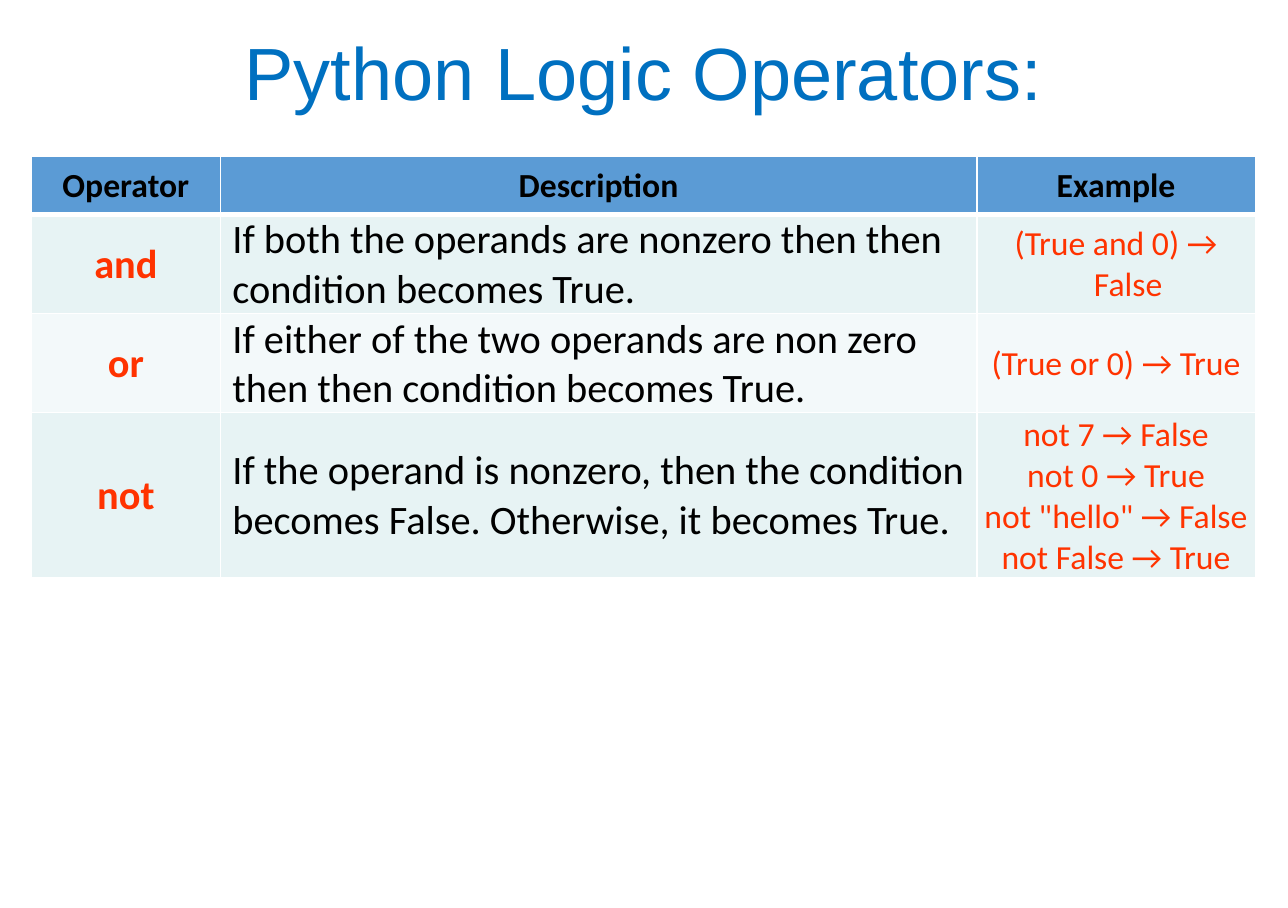
import pptx
import pptx.dml.color
import pptx.enum.text
import pptx.oxml
import pptx.oxml.ns
import pptx.util
from pptx.util import Inches

ALIGN = pptx.enum.text.PP_ALIGN
MIDDLE = pptx.enum.text.MSO_ANCHOR.MIDDLE


def style_paragraph(paragraph, font_name, size, color, bold, alignment):
    paragraph.alignment = alignment
    for run in paragraph.runs:
        run.font.name = font_name
        run.font.size = pptx.util.Pt(size)
        run.font.bold = bold
        run.font.color.rgb = pptx.dml.color.RGBColor.from_string(color)


def add_border(cell, side, width):
    """Draw a white line on one side (L, R, T or B); call before filling the cell."""
    cell._tc.get_or_add_tcPr().append(pptx.oxml.parse_xml(
        f'<a:ln{side} {pptx.oxml.ns.nsdecls("a")} w="{pptx.util.Pt(width)}">'
        f'<a:solidFill><a:srgbClr val="FFFFFF"/></a:solidFill></a:ln{side}>'))


presentation = pptx.Presentation()
presentation.slide_width = Inches(10.64)
presentation.slide_height = Inches(7.5)
slide = presentation.slides.add_slide(presentation.slide_layouts[6])

title = slide.shapes.add_textbox(0, 0, presentation.slide_width, Inches(1.27))
title.text_frame.word_wrap = True
title.text_frame.vertical_anchor = MIDDLE
title.text_frame.text = "Python Logic Operators:"
title.text_frame.paragraphs[0].line_spacing = 0.9
style_paragraph(title.text_frame.paragraphs[0], "Arial", 44, "0070C0", False, ALIGN.CENTER)

rows = [
    ("Operator", "Description", "Example"),
    ("and", "If both the operands are nonzero then then condition becomes True.",
     "(True and 0) → False"),
    ("or", "If either of the two operands are non zero then then condition becomes True.",
     "(True or 0) → True"),
    ("not", "If the operand is nonzero, then the condition becomes False. "
     "Otherwise, it becomes True.",
     'not 7 → False\nnot 0 → True\nnot "hello" → False\nnot False → True'),
]
column_widths = [1.56, 6.25, 2.3]
row_heights = [0.48, 0.82, 0.82, 1.36]
row_fills = ["5B9BD5", "E7F3F4", "F3F9FA", "E7F3F4"]
# Size, colour, bold and alignment of each column, and of the header row
column_styles = [
    (24, "FF3300", True, ALIGN.CENTER),
    (24, "000000", False, ALIGN.LEFT),
    (20, "FF3300", False, ALIGN.CENTER),
]
header_style = (20, "000000", True, ALIGN.CENTER)

table = slide.shapes.add_table(
    len(rows), len(column_widths), Inches(0.26), Inches(1.29),
    Inches(sum(column_widths)), Inches(sum(row_heights))).table
for column, width in zip(table.columns, column_widths):
    column.width = Inches(width)

for row_index, texts in enumerate(rows):
    table.rows[row_index].height = Inches(row_heights[row_index])
    for column_index, text in enumerate(texts):
        cell = table.cell(row_index, column_index)
        is_header = row_index == 0
        is_description = column_index == 1 and not is_header
        cell.text = text
        cell.vertical_anchor = MIDDLE
        cell.margin_left = Inches(0.1 if is_description else 0.01)
        cell.margin_right = cell.margin_top = Inches(0.01)
        cell.margin_bottom = 0
        add_border(cell, "L", 1)
        add_border(cell, "R", 1)
        add_border(cell, "T", 3 if row_index == 1 else 1)
        add_border(cell, "B", 3 if is_header else 1)
        cell.fill.solid()
        cell.fill.fore_color.rgb = pptx.dml.color.RGBColor.from_string(row_fills[row_index])
        paragraphs = cell.text_frame.paragraphs
        for paragraph in paragraphs:
            style = header_style if is_header else column_styles[column_index]
            style_paragraph(paragraph, "Calibri", *style)
        # A single example hangs its wrapped line
        if column_index == 2 and not is_header and len(paragraphs) == 1:
            properties = paragraphs[0]._p.get_or_add_pPr()
            properties.set("marL", str(Inches(0.2)))
            properties.set("indent", str(Inches(-0.2)))

presentation.save("out.pptx")
